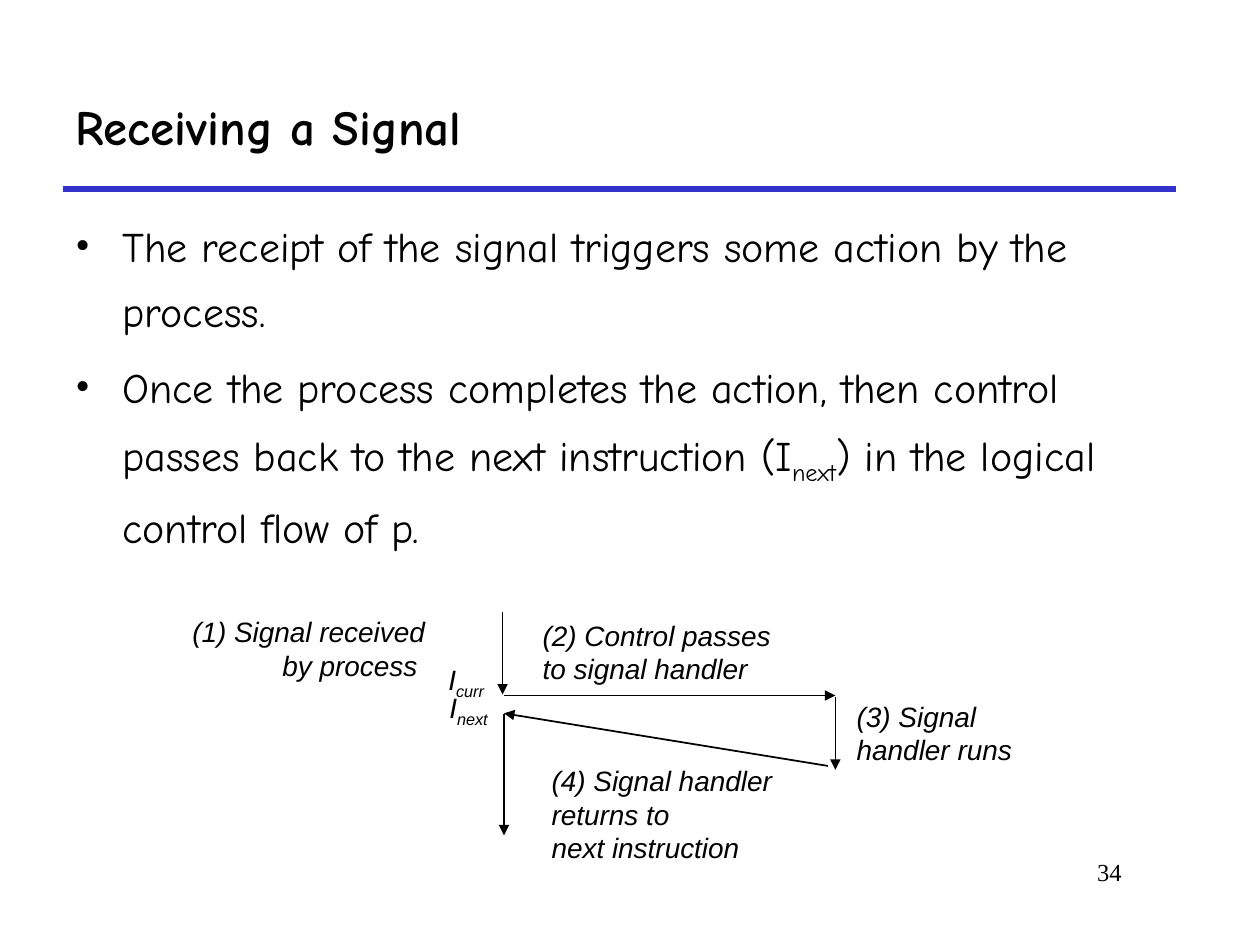
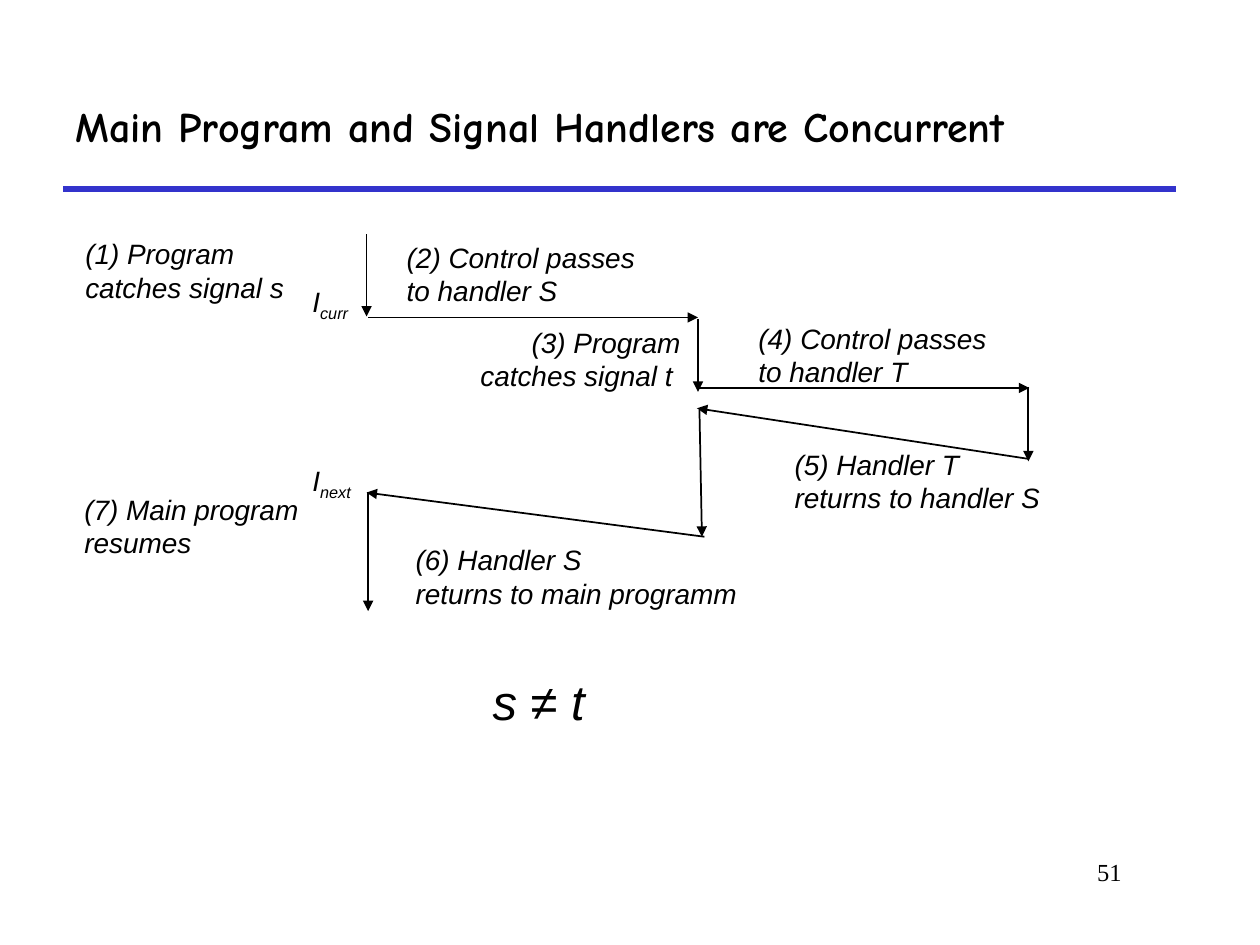
"""Build two slides on how signals interrupt a process and its handlers."""
import pptx
import pptx.dml.color
import pptx.enum.shapes
import pptx.enum.text
import pptx.oxml.ns
import pptx.util
from lxml import etree

Cm = pptx.util.Cm
Pt = pptx.util.Pt
qn = pptx.oxml.ns.qn
ALIGN = pptx.enum.text.PP_ALIGN
ANCHOR = pptx.enum.text.MSO_ANCHOR

COLORS = {"text": "000000", "rule": "3333CC"}
FONTS = {"heading": "Comic Neue", "label": "Arial", "number": "Times New Roman"}


class SignalDeck:
    def __init__(self):
        self.deck = pptx.Presentation()
        self.deck.slide_width = Cm(25.4)
        self.deck.slide_height = Cm(19.05)
        self.page = None

    def add_page(self, title, number, title_size):
        self.page = self.deck.slides.add_slide(self.deck.slide_layouts[6])
        self.add_line((1.27, 3.81), (23.7, 3.81), "rule", 3)
        self.add_text(number, (19.25, 17.15, 3.61, 1.27), "number", 14, align=ALIGN.RIGHT)
        self.add_text(title, (1.27, 1.27, 22.43, 2.54), "heading", title_size,
                      bold=True, anchor=ANCHOR.MIDDLE)

    def add_line(self, start, end, color="text", width=1):
        line = self.page.shapes.add_connector(
            pptx.enum.shapes.MSO_CONNECTOR.STRAIGHT,
            *[Cm(value) for value in (*start, *end)])
        line.line.color.rgb = pptx.dml.color.RGBColor.from_string(COLORS[color])
        line.line.width = Pt(width)
        etree.SubElement(line._element.spPr, qn("a:effectLst"))
        return line

    def add_arrow(self, start, end):
        arrow = self.add_line(start, end)
        etree.SubElement(arrow.line._get_or_add_ln(), qn("a:tailEnd"), type="triangle")

    def add_text(self, text, place, font, size, bold=False, italic=False,
                 align=ALIGN.LEFT, anchor=ANCHOR.TOP, wrap=True):
        box = self.page.shapes.add_textbox(*[Cm(value) for value in place])
        frame = box.text_frame
        frame.word_wrap = wrap
        frame.vertical_anchor = anchor
        frame.text = text
        for para in frame.paragraphs:
            para.alignment = align
            self.split_subscripts(para)
            for span in para.runs:
                span.font.name = FONTS[font]
                span.font.size = Pt(size)
                span.font.bold = bold
                span.font.italic = italic
                span.font.color.rgb = pptx.dml.color.RGBColor.from_string(COLORS["text"])
        return frame

    def split_subscripts(self, para):
        first, *pieces = para.text.split("|")
        para.runs[0].text = first
        for index, piece in enumerate(pieces):
            span = para.add_run()
            span.text = piece
            if index % 2 == 0:
                span.font._element.set("baseline", "-25000")

    def add_bullets(self, lines, place):
        frame = self.add_text("\n".join(lines), place, "heading", 24)
        for para in frame.paragraphs:
            para.line_spacing = 1.3
            para.space_before = Pt(6)
            properties = para._p.get_or_add_pPr()
            properties.set("marL", str(Cm(0.95)))
            properties.set("indent", str(Cm(-0.95)))
            etree.SubElement(properties, qn("a:buFont"), typeface=FONTS["number"])
            etree.SubElement(properties, qn("a:buChar"), char="•")

    def add_label(self, text, left, top, width, height=1.6, size=16, align=ALIGN.LEFT):
        frame = self.add_text(text, (left, top, width, height), "label", size,
                              italic=True, align=align, wrap="\n" not in text)
        frame.auto_size = pptx.enum.text.MSO_AUTO_SIZE.SHAPE_TO_FIT_TEXT

    def add_instruction(self, name, left, top):
        self.add_label(f"I|{name}", left, top, 1.5, 1.04)


def build_receiving(deck):
    deck.add_page("Receiving a Signal", "34", 28)
    deck.add_bullets([
        "The receipt of the signal triggers some action by the process.",
        "Once the process completes the action, then control passes back to "
        "the next instruction (I|next|) in the logical control flow of p.",
    ], (1.27, 4.01, 22.86, 7.62))
    for start, end in [
        ((10.13, 12.34), (10.13, 14)),
        ((10.16, 14.02), (16.84, 14.02)),
        ((16.84, 14.05), (16.84, 15.52)),
        ((16.69, 15.44), (10.16, 14.38)),
        ((10.16, 14.4), (10.16, 16.84)),
    ]:
        deck.add_arrow(start, end)
    deck.add_label("(2) Control passes\nto signal handler", 10.69, 12.34, 5.26)
    deck.add_label("(3) Signal handler runs", 17.02, 13.97, 4.14)
    deck.add_label("(4) Signal handler\nreturns to\nnext instruction", 10.87, 15.27, 4.95, 2.29)
    deck.add_instruction("curr", 8.79, 13.23)
    deck.add_instruction("next", 8.81, 13.79)
    deck.add_label("(1) Signal received by process ", 3.33, 12.27, 5.49, align=ALIGN.RIGHT)


def build_concurrent(deck):
    deck.add_page("Main Program and Signal Handlers are Concurrent", "51", 24)
    for start, end in [
        ((7.39, 4.72), (7.39, 6.38)),
        ((7.42, 6.4), (14.07, 6.4)),
        ((14.07, 6.43), (14.07, 7.9)),
        ((14.2, 10.82), (7.39, 9.93)),
        ((7.42, 9.91), (7.42, 12.32)),
        ((14.07, 7.82), (20.75, 7.82)),
        ((20.73, 7.8), (20.73, 9.3)),
        ((20.73, 9.25), (14.05, 8.23)),
        ((14.1, 8.26), (14.15, 10.82)),
    ]:
        deck.add_arrow(start, end)
    deck.add_label("(1) Program catches signal s", 1.47, 4.65, 4.52)
    deck.add_label("(2) Control passes\nto handler S", 7.95, 4.72, 5.26)
    deck.add_label("(3) Program catches signal t ", 8.48, 6.43, 5.49, align=ALIGN.RIGHT)
    deck.add_label("(4) Control passes\nto handler T", 15.04, 6.35, 5.26)
    deck.add_label("(5) Handler T\nreturns to handler S", 15.77, 8.89, 5.61)
    deck.add_label("(6) Handler S\nreturns to main programm", 8.13, 10.82, 7.14)
    deck.add_label("(7) Main program resumes", 1.45, 9.8, 5.05)
    deck.add_instruction("curr", 6.05, 5.61)
    deck.add_instruction("next", 6.05, 9.22)
    deck.add_label("s ≠ t", 9.68, 13.41, 2.62, 1.42, size=28)


def main():
    signals = SignalDeck()
    build_receiving(signals)
    build_concurrent(signals)
    signals.deck.save("out.pptx")


if __name__ == "__main__":
    main()
